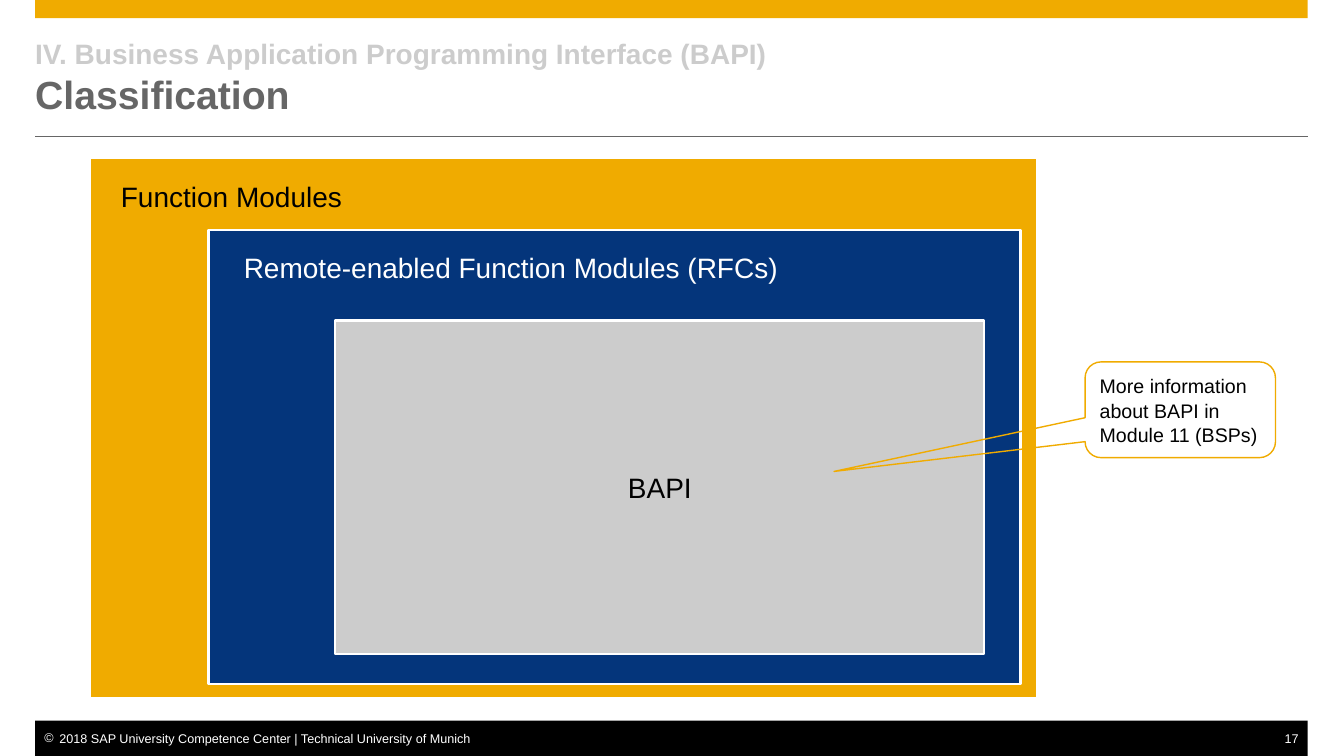
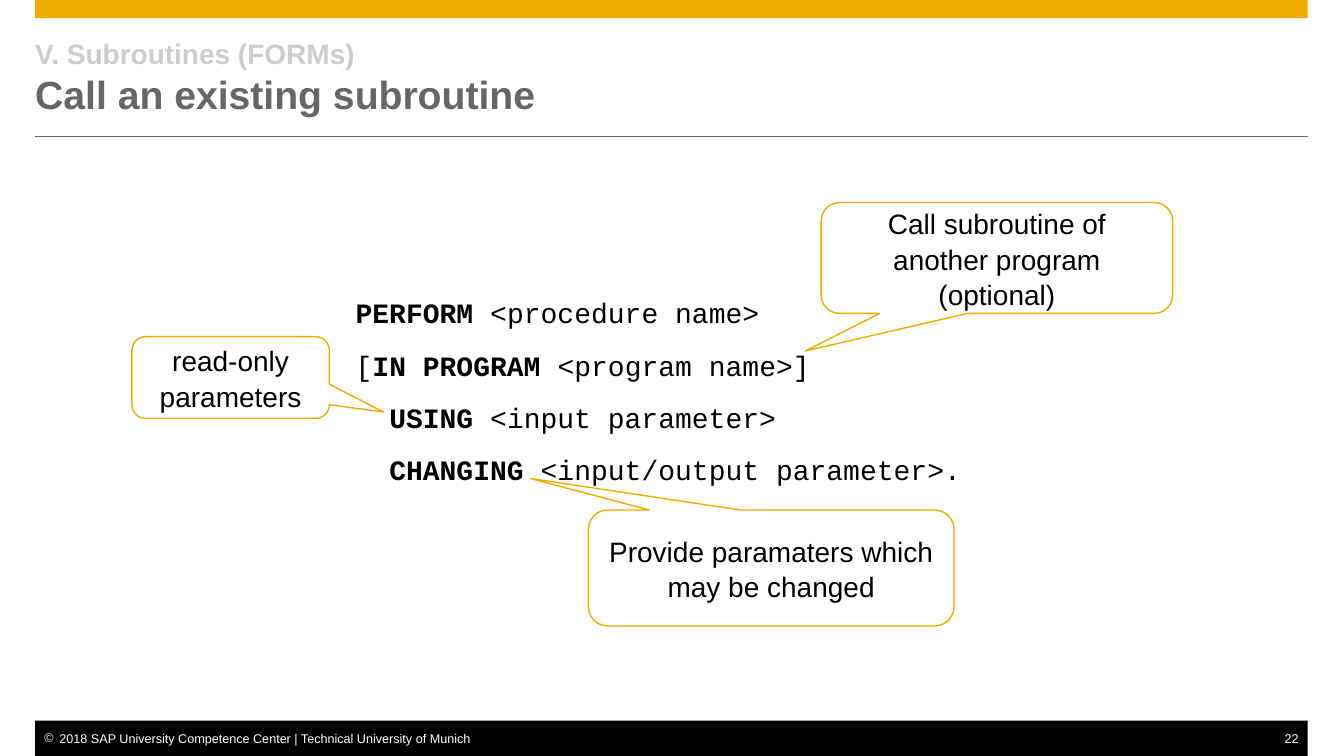
"""Builds two training slides: BAPI classification and subroutine calls."""
from lxml.etree import SubElement
from pptx import Presentation
from pptx.dml.color import RGBColor
from pptx.enum.shapes import MSO_CONNECTOR, MSO_SHAPE
from pptx.enum.text import MSO_ANCHOR as Anchor, PP_ALIGN as Align
from pptx.oxml.ns import qn
from pptx.util import Inches, Pt

COLORS = {"gold": "F0AB00", "navy": "04357B", "silver": "CCCCCC",
          "gray": "666666", "black": "000000", "white": "FFFFFF"}
SANS, MONO = "Arial", "Courier New"
WIDTH, HEIGHT = 13.34, 7.5
MARGIN, CONTENT_WIDTH = 0.35, 12.63
TOP_BAND, FOOTER_BAND, RULE_TOP = 0.18, 0.35, 1.35
LINE_SPACING = 1.05
COPYRIGHT = "2018 SAP University Competence Center | Technical University of Munich"

PANELS = [
    ("Function Modules", (0.89, 1.57, 9.4, 5.36), "gold", "black",
     Align.LEFT, Anchor.TOP, (0.31, 0.21)),
    ("Remote-enabled Function Modules (RFCs)", (2.07, 2.28, 8.06, 4.51), "navy", "white",
     Align.LEFT, Anchor.TOP, (0.35, 0.21)),
    ("BAPI", (3.33, 3.18, 6.44, 3.31), "silver", "black",
     Align.CENTER, Anchor.MIDDLE, (0, 0)),
]
CODE_BOX = (3.53, 2.92, 6.28, 2)
CODE = [
    [("PERFORM", True), (" <procedure name>", False)],
    [("[", False), ("IN PROGRAM ", True), ("<program name>]", False)],
    [("  ", False), ("USING", True), (" <input parameter>", False)],
    [("  ", False), ("CHANGING", True), (" <input/output parameter>.", False)],
]
SLIDES = [
    {"section": "IV. Business Application Programming Interface (BAPI)",
     "title": "Classification", "number": 17, "panels": PANELS, "code": [],
     "callouts": [("More information about BAPI in Module 11 (BSPs)",
                   (10.77, 3.59, 1.89, 0.95), (-1.818, 0.644), 14, Align.LEFT)]},
    {"section": "V. Subroutines (FORMs)",
     "title": "Call an existing subroutine", "number": 22, "panels": [], "code": CODE,
     "callouts": [("Provide paramaters which may be changed",
                   (5.84, 5.06, 3.63, 1.15), (-0.658, -0.772), 20, Align.CENTER),
                  ("Call subroutine of another program (optional)",
                   (8.15, 2.01, 3.49, 1.1), (-0.544, 0.838), 20, Align.CENTER),
                  ("read-only parameters",
                   (1.31, 3.34, 1.96, 0.81), (0.774, 0.423), 20, Align.CENTER)]},
]


def rgb(color):
    return RGBColor.from_string(COLORS[color])


def style(run, size, color, font=SANS, bold=False):
    run.font.name, run.font.size, run.font.bold = font, Pt(size), bold
    run.font.color.rgb = rgb(color)


def set_frame(frame, insets=(0, 0, 0, 0), anchor=Anchor.TOP, wrap=True):
    frame.margin_left, frame.margin_top, frame.margin_right, frame.margin_bottom = map(Inches, insets)
    frame.vertical_anchor, frame.word_wrap = anchor, wrap


def write(frame, text, size, color, align=Align.LEFT):
    frame.text = text
    paragraph = frame.paragraphs[0]
    paragraph.alignment = align
    style(paragraph.runs[0], size, color)
    return paragraph


def add_shape(slide, preset, box, fill=None, line=None, line_width=1):
    shape = slide.shapes.add_shape(preset, *map(Inches, box))
    shape.shadow.inherit = False
    if fill:
        shape.fill.solid()
        shape.fill.fore_color.rgb = rgb(fill)
    else:
        shape.fill.background()
    if line:
        shape.line.color.rgb = rgb(line)
        shape.line.width = Pt(line_width)
    else:
        shape.line.fill.background()
    return shape


def add_text_frame(slide, box, **settings):
    frame = slide.shapes.add_textbox(*map(Inches, box)).text_frame
    set_frame(frame, **settings)
    return frame


def add_copyright_bullet(paragraph):
    properties = paragraph._p.get_or_add_pPr()
    properties.set("marL", str(Inches(0.15)))
    properties.set("indent", str(-Inches(0.15)))
    bullet_color = SubElement(properties, qn("a:buClr"))
    SubElement(bullet_color, qn("a:srgbClr"), val=COLORS["white"])
    SubElement(properties, qn("a:buFont"), typeface=SANS)
    SubElement(properties, qn("a:buChar"), char="©")


def add_frame_parts(slide, section, title, number):
    footer_top = HEIGHT - FOOTER_BAND
    for top, height, color in [(0, TOP_BAND, "gold"), (footer_top, FOOTER_BAND, "black")]:
        add_shape(slide, MSO_SHAPE.RECTANGLE, (MARGIN, top, CONTENT_WIDTH, height), color)

    right = MARGIN + CONTENT_WIDTH
    rule = slide.shapes.add_connector(
        MSO_CONNECTOR.STRAIGHT, *map(Inches, (MARGIN, RULE_TOP, right, RULE_TOP)))
    rule.line.color.rgb = rgb("gray")
    rule.line.width = Pt(0.5)
    SubElement(rule._element.spPr, qn("a:effectLst"))

    copyright_frame = add_text_frame(slide, (MARGIN, footer_top + 0.1, 4.38, 0.15),
                                     insets=(0.09, 0, 0, 0), wrap=False)
    add_copyright_bullet(write(copyright_frame, COPYRIGHT, 9, "white"))
    number_frame = add_text_frame(slide, (right - 0.25, footer_top + 0.1, 0.25, 0.15),
                                  insets=(0, 0, 0.09, 0))
    write(number_frame, str(number), 9, "white", Align.RIGHT)

    heading = add_text_frame(slide, (MARGIN, 0.35, CONTENT_WIDTH, 0.83),
                             anchor=Anchor.MIDDLE).paragraphs[0]
    heading.text = f"{section}\v{title}"
    for run, size, color in zip(heading.runs, (20, 28), ("silver", "gray")):
        style(run, size, color, bold=True)


def add_panel(slide, label, box, fill, color, align, anchor, inset):
    panel = add_shape(slide, MSO_SHAPE.RECTANGLE, box, fill, "white", 1.5)
    set_frame(panel.text_frame, (*inset, 0, 0), anchor)
    write(panel.text_frame, label, 20, color, align)


def add_callout(slide, text, box, tip, size, align):
    callout = add_shape(slide, MSO_SHAPE.ROUNDED_RECTANGULAR_CALLOUT, box, line="gold")
    callout.adjustments[0], callout.adjustments[1] = tip
    set_frame(callout.text_frame, (0.1, 0.08, 0.1, 0.08), Anchor.MIDDLE)
    write(callout.text_frame, text, size, "black", align).line_spacing = LINE_SPACING


def add_code(slide, lines):
    frame = add_text_frame(slide, CODE_BOX)
    for index, pieces in enumerate(lines):
        paragraph = frame.add_paragraph() if index else frame.paragraphs[0]
        paragraph.line_spacing = LINE_SPACING
        if index:
            paragraph.space_before = Pt(12)
        for text, bold in pieces:
            run = paragraph.add_run()
            run.text = text
            style(run, 20, "black", MONO, bold)


def main():
    deck = Presentation()
    deck.slide_width, deck.slide_height = Inches(WIDTH), Inches(HEIGHT)
    for content in SLIDES:
        slide = deck.slides.add_slide(deck.slide_layouts[6])
        add_frame_parts(slide, content["section"], content["title"], content["number"])
        for panel in content["panels"]:
            add_panel(slide, *panel)
        if content["code"]:
            add_code(slide, content["code"])
        for callout in content["callouts"]:
            add_callout(slide, *callout)
    deck.save("out.pptx")


if __name__ == "__main__":
    main()
